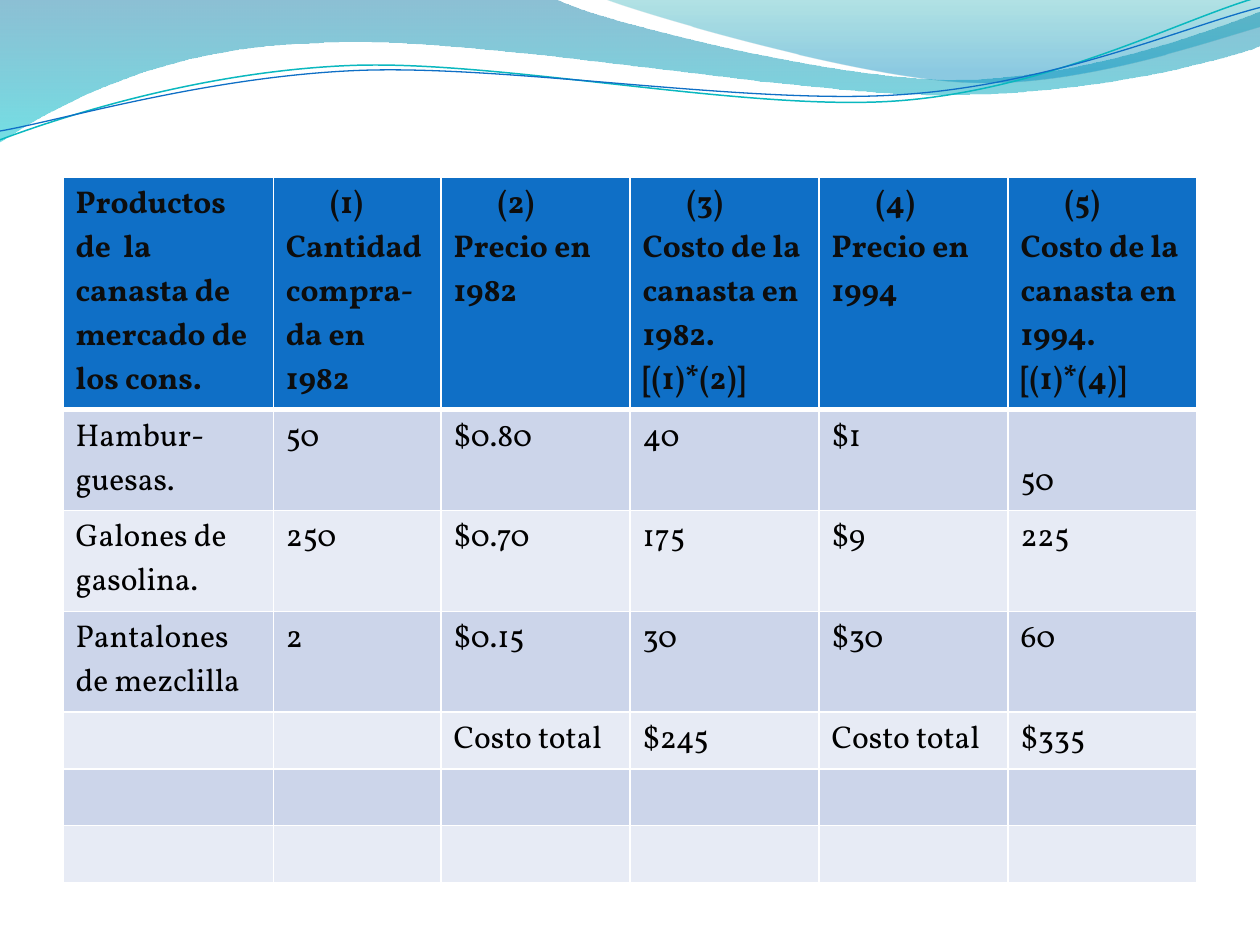
import math
import pptx
import pptx.dml.color
import pptx.enum.text
import pptx.oxml.ns
import pptx.util
import lxml.etree
from pptx.util import Inches


def color(value):
    return pptx.dml.color.RGBColor.from_string(value)


def add_child(parent, tag, **attributes):
    child = lxml.etree.SubElement(parent, pptx.oxml.ns.qn(tag))
    for name, value in attributes.items():
        child.set(name, str(value))
    return child


def turn(point, center, degrees):
    angle = math.radians(degrees)
    x, y = point[0] - center[0], point[1] - center[1]
    return (center[0] + x * math.cos(angle) - y * math.sin(angle),
            center[1] + x * math.sin(angle) + y * math.cos(angle))


class SlideBuilder:
    font = "Vollkorn"
    size = pptx.util.Pt(18)
    header_fill = "0F6FC6"
    header_text = "0D0D0D"
    body_text = "000000"
    bands = "CCD5EA", "E7EBF5"
    border = "FFFFFF"
    number_indent = Inches(0.35)
    line_height = Inches(0.35)

    def __init__(self, slide):
        self.slide = slide

    def outline(self, segments, close, center=(0, 0), rotation=0):
        points = [turn(segment[i:i + 2], center, -rotation)
                  for segment in segments for i in range(0, len(segment), 2)]
        points = [(Inches(x), Inches(y)) for x, y in points]
        builder = self.slide.shapes.build_freeform(*points[0], scale=1.0)
        builder.add_line_segments(points[1:], close=close)
        shape = builder.convert_to_shape()
        shape.shadow.inherit = False
        shape.rotation = rotation
        lines = list(shape._element.spPr.iter(pptx.oxml.ns.qn("a:lnTo")))
        for segment in segments[1:]:
            if len(segment) == 2:
                lines.pop(0)
                continue
            curve = lxml.etree.Element(pptx.oxml.ns.qn("a:cubicBezTo"))
            lines[0].addprevious(curve)
            for line in lines[:3]:
                curve.append(line[0])
                line.getparent().remove(line)
            del lines[:3]
        return shape

    def wave(self, segments, stops):
        shape = self.outline(segments, True)
        shape.line.fill.background()
        shape.fill.gradient()
        shape.fill.gradient_angle = 270
        for stop, (position, value, _) in zip(shape.fill.gradient_stops, stops):
            stop.position = position
            stop.color.rgb = color(value)
        elements = shape._element.spPr.iter(pptx.oxml.ns.qn("a:srgbClr"))
        for element, (_, _, opacity) in zip(elements, stops):
            add_child(element, "a:alpha", val=opacity * 1000)

    def curve(self, segments, center, value, width):
        shape = self.outline(segments, False, center, 357.3)
        shape.fill.background()
        shape.line.color.rgb = color(value)
        shape.line.width = pptx.util.Pt(width)

    def borders(self, cell, bottom):
        properties = cell._tc.get_or_add_tcPr()
        for side, width in (("L", 1), ("R", 1), ("T", 1), ("B", bottom)):
            line = add_child(properties, "a:ln" + side, w=pptx.util.Pt(width))
            fill = add_child(line, "a:solidFill")
            add_child(fill, "a:srgbClr", val=self.border)

    def cell(self, cell, text, row):
        header = row == 0
        self.borders(cell, 3 if header else 1)
        cell.fill.solid()
        cell.fill.fore_color.rgb = color(self.header_fill if header else self.bands[(row - 1) % 2])
        cell.vertical_anchor = pptx.enum.text.MSO_ANCHOR.TOP
        if not text:
            return
        cell.text = text
        for paragraph in cell.text_frame.paragraphs:
            paragraph.font.name = self.font
            paragraph.font.size = self.size
            paragraph.font.bold = header
            paragraph.font.color.rgb = color(self.header_text if header else self.body_text)
            if header and paragraph.text.startswith("("):
                paragraph._p.get_or_add_pPr().set("marL", str(self.number_indent))

    def table(self, left, top, widths, heights, rows):
        frame = self.slide.shapes.add_table(
            len(rows), len(widths), Inches(left), Inches(top),
            Inches(sum(widths)), Inches(sum(heights)))
        table = frame.table
        for column, width in zip(table.columns, widths):
            column.width = Inches(width)
        for row, height in zip(table.rows, heights):
            row.height = Inches(height)
        for row, texts in enumerate(rows):
            for column, text in enumerate(texts):
                self.cell(table.cell(row, column), text, row)
        return table


presentation = pptx.Presentation()
presentation.slide_width = Inches(10)
presentation.slide_height = Inches(7.5)
slide = presentation.slides.add_slide(presentation.slide_layouts[6])
builder = SlideBuilder(slide)

builder.wave(
    [(0, 0), (4.4, -0.01),
     (4.76, 0.17, 6.64, 0.63, 7.58, 0.63), (8.53, 0.63, 9.58, 0.26, 10, 0.09),
     (10.01, 0.36),
     (9.83, 0.44, 8.7, 0.76, 7.46, 0.75), (6.22, 0.75, 3.82, 0.28, 2.57, 0.34),
     (1.29, 0.36, 0.46, 0.83, -0.01, 1.13)],
    [(0, "0074A1", 45), (1, "00C6CF", 55)])
builder.wave(
    [(4.79, -0.01),
     (5.09, 0.11, 6.82, 0.62, 7.69, 0.65), (8.56, 0.69, 9.61, 0.32, 10, 0.21),
     (10, 0)],
    [(0, "00A1A9", 30), (0.8, "008BBF", 45)])
builder.curve(
    [(0, 1.11), (0.48, 0.93, 1.58, 0.57, 2.77, 0.52),
     (3.95, 0.47, 5.93, 0.89, 7.13, 0.8), (8.33, 0.71, 9.38, 0.15, 9.98, -0.02)],
    (4.99, 0.57), "0AB8BF", 0.85)
builder.curve(
    [(0, 1.04), (0.47, 0.96, 1.64, 0.61, 2.83, 0.56),
     (4.03, 0.51, 5.97, 0.84, 7.17, 0.75), (8.36, 0.67, 9.41, 0.21, 10, 0.06)],
    (5, 0.59), "0F6FC6", 0.75)

basket_rows = [
    ["Productos de  la canasta de mercado de los cons.",
     "(1)\nCantidad compra-da en 1982",
     "(2)\nPrecio en 1982",
     "(3)\nCosto de la canasta en 1982. [(1)*(2)]",
     "(4)\nPrecio en 1994",
     "(5)\nCosto de la canasta en 1994. [(1)*(4)]"],
    ["Hambur-guesas.", "50", "$0.80", "40", "$1", "50"],
    ["Galones de gasolina.", "250", "$0.70", "175", "$9", "225"],
    ["Pantalones de mezclilla", "2", "$0.15", "30", "$30", "60"],
    ["", "", "Costo total", "$245", "Costo total", "$335"],
    [""] * 6,
    [""] * 6,
]
basket = builder.table(
    0.5, 1.41, [1.67, 1.33] + [1.5] * 4, [1.84] + [0.8] * 3 + [0.45] * 3, basket_rows)
basket.cell(1, 5).margin_top = Inches(0.05) + builder.line_height

presentation.save("out.pptx")
